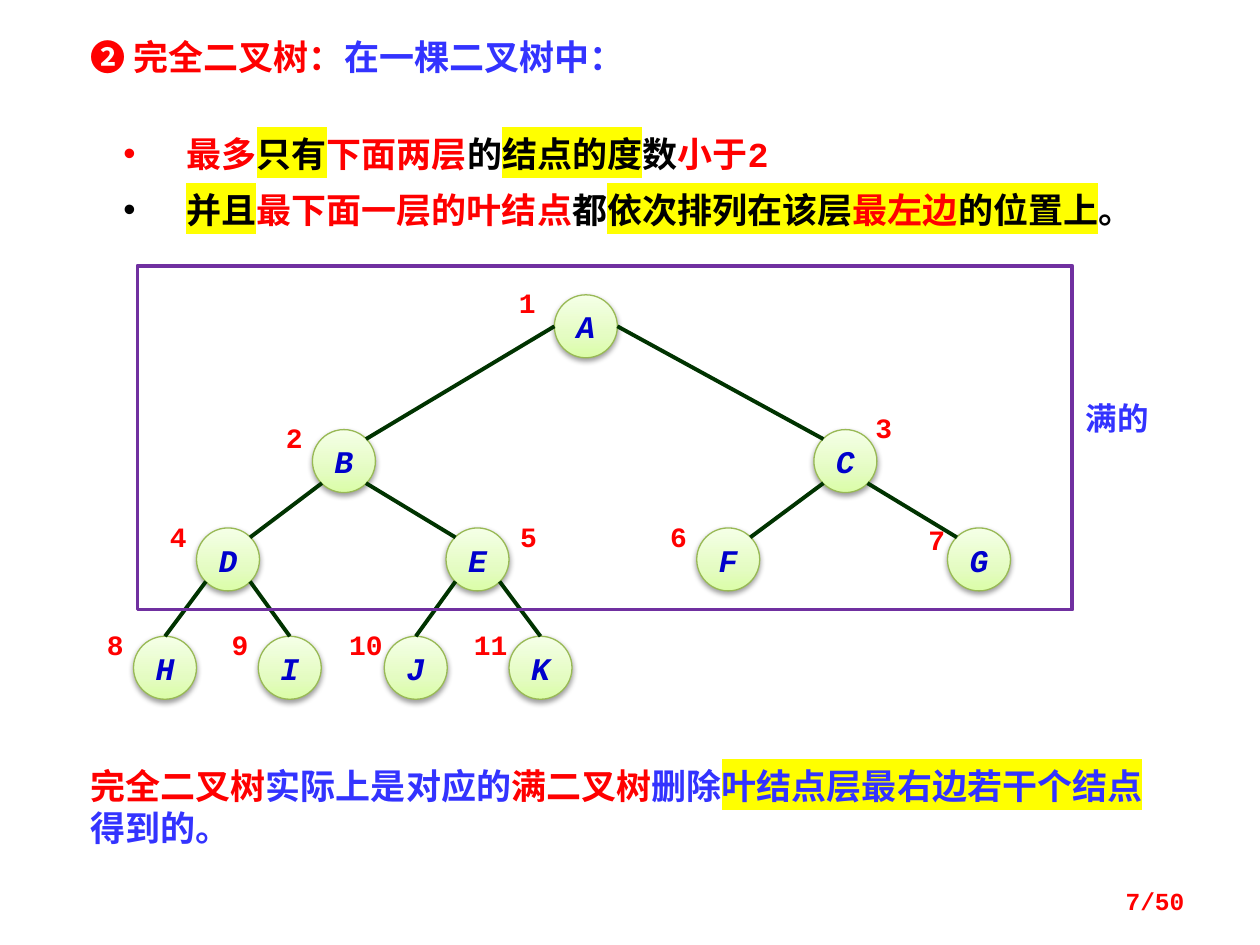
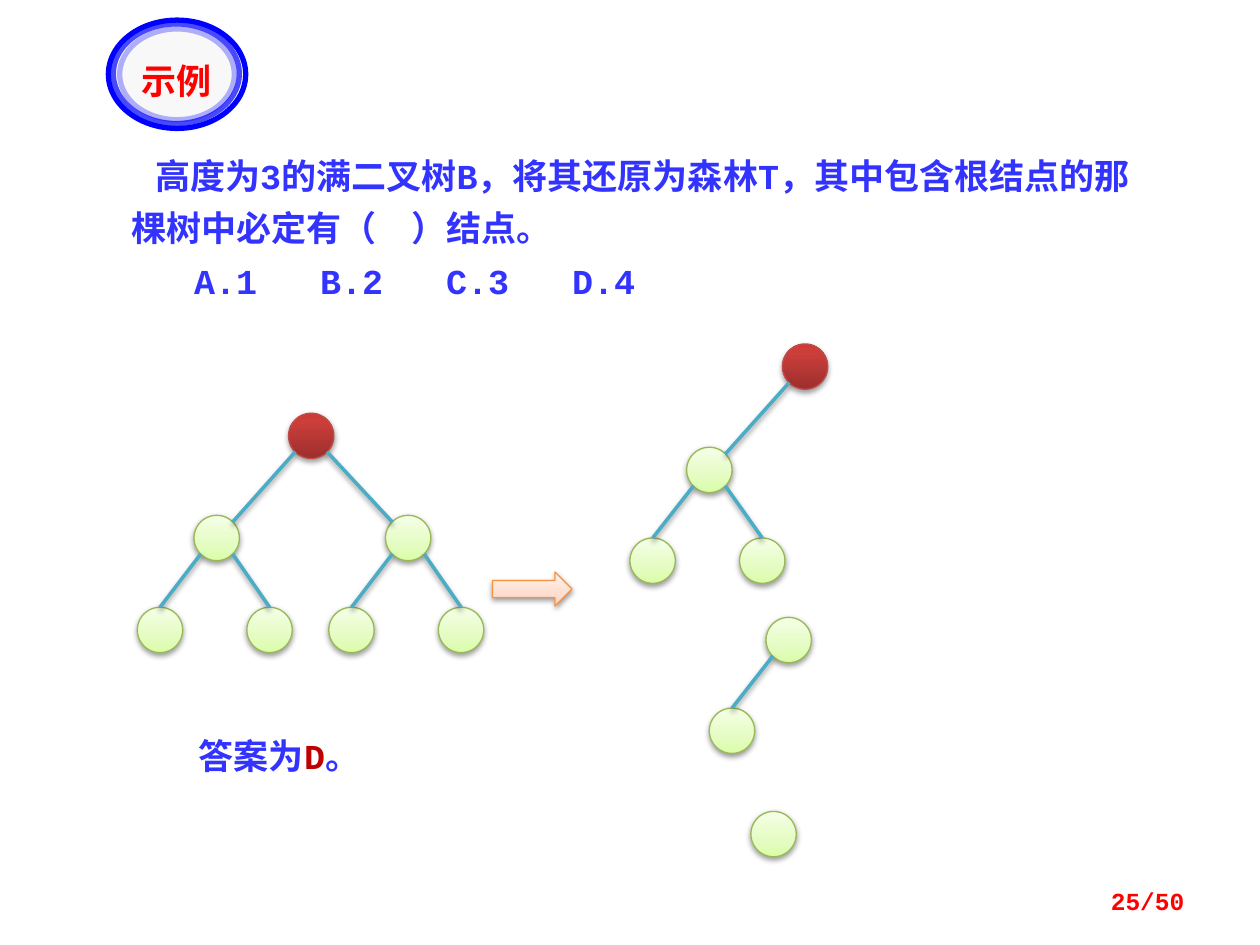
from dataclasses import dataclass
from math import copysign
from pptx import Presentation
from pptx.dml.color import RGBColor
from pptx.enum.shapes import MSO_CONNECTOR, MSO_SHAPE
from pptx.enum.text import MSO_ANCHOR, MSO_AUTO_SIZE, PP_ALIGN
from pptx.oxml import parse_xml
from pptx.oxml.ns import nsdecls
from pptx.oxml.xmlchemy import OxmlElement
from pptx.util import Inches, Pt


@dataclass(frozen=True)
class Theme:
    mono: str = "Courier New"
    han: str = "Noto Sans CJK SC"
    red: str = "FF0000"
    blue: str = "3333FF"
    black: str = "000000"
    navy: str = "0000CC"
    crimson: str = "C00000"
    violet: str = "7030A0"
    forest: str = "003300"
    teal: str = "4BACC6"
    ring: str = "0000FF"
    pale: str = "F8F8F8"
    mark: str = "FFFF00"
    head: int = 20
    node: int = 18
    tag: int = 16
    foot: int = 14
    green: tuple = ("98B955", ((0, "DAFDA7"), (35, "E4FCC2"), (100, "F5FFE7")))
    ruby: tuple = ("BF4C48", ((0, "9C2F2D"), (80, "CB3E3A"), (100, "CE3B37")))
    peach: tuple = ("F69240", ((0, "FFD2BD"), (35, "FFDED0"), (100, "FFF2ED")))


T = Theme()
deck = Presentation()
deck.slide_width, deck.slide_height = Inches(10), Inches(7.5)
CELL = deck.slide_width // 100


def at(*cells):
    return [round(CELL * cell) for cell in cells]


def write(frame, lines, size, face=T.mono, align=PP_ALIGN.LEFT, anchor=MSO_ANCHOR.TOP):
    frame.word_wrap = True
    frame.auto_size = MSO_AUTO_SIZE.NONE
    frame.vertical_anchor = anchor
    for row, line in enumerate(lines):
        para = frame.add_paragraph() if row else frame.paragraphs[0]
        para.alignment = align
        para.space_before = Pt(0)
        for text, ink, *mark in line:
            run = para.add_run()
            run.text = text
            font = run.font
            font.size, font.bold = Pt(size), True
            font.color.rgb = RGBColor.from_string(ink)
            props = run._r.get_or_add_rPr()
            if mark:
                props.append(parse_xml(
                    f'<a:highlight {nsdecls("a")}><a:srgbClr val="{mark[0]}"/></a:highlight>'))
            font.name = face
            east = OxmlElement("a:ea")
            east.set("typeface", T.han)
            props.append(east)


one, two = [deck.slides.add_slide(deck.slide_layouts[1]) for _ in range(2)]

heads = [
    (one, (6.2, 2.3, 63.3, 4.4), PP_ALIGN.LEFT,
     [("❷ 完全二叉树：", T.red), ("在一棵二叉树中：", T.blue)]),
    (two, (9.2, 4.2, 9.6, 3.9), PP_ALIGN.CENTER, [("示例", T.red)]),
]
for slide, place, align, line in heads:
    title = slide.shapes.title
    title.left, title.top, title.width, title.height = at(*place)
    write(title.text_frame, [line], T.head, align=align)

lists = [
    (one, (7.8, 8.6, 85.9, 10.1), 32, [
        [("最多", T.red), ("只有", T.black, T.mark), ("下面两层", T.red), ("的", T.black),
         ("结点的度", T.black, T.mark), ("数", T.black), ("小于2", T.red)],
        [("并且", T.black, T.mark), ("最下面一层的叶结点", T.red), ("都", T.black),
         ("依次排列在该层", T.black, T.mark), ("最左边", T.red, T.mark),
         ("的位置上", T.black, T.mark), ("。", T.black)]]),
    (two, (9.4, 10.9, 82.8, 13.6), 30, [
        [("高度为3的满二叉树B，将其还原为森林T，其中包含根结点的那棵树中必定有（　）结点。", T.blue)],
        [("A.1\tB.2\tC.3\tD.4", T.blue)]]),
]
for slide, place, pitch, lines in lists:
    body = slide.placeholders[1]
    body.left, body.top, body.width, body.height = at(*place)
    write(body.text_frame, lines, T.head)
    for para in body.text_frame.paragraphs:
        para.line_spacing = Pt(pitch)

frame = one.placeholders[1].text_frame
frame.margin_left, frame.margin_top, frame.margin_bottom = at(2, 0.8, 0.8)
for para in frame.paragraphs:
    props = para._p.get_or_add_pPr()
    props.set("marL", str(Inches(0.5)))
    props.set("indent", str(-Inches(0.5)))

quiz = two.placeholders[1].text_frame.paragraphs
for para, inset in zip(quiz, at(1.9, 5)):
    props = para._p.get_or_add_pPr()
    props.set("marL", "0")
    props.set("indent", str(inset))
    props.append(OxmlElement("a:buNone"))
tabs = OxmlElement("a:tabLst")
for stop in at(30, 50, 70):
    tab = OxmlElement("a:tab")
    tab.set("pos", str(stop))
    tab.set("algn", "l")
    tabs.append(tab)
quiz[1]._p.get_or_add_pPr().append(tabs)

full = {"A": (44, 23.4), "B": (24.8, 34.1), "C": (64.6, 34.1),
        "D": (15.6, 41.9), "E": (35.4, 41.9), "F": (55.3, 41.9), "G": (75.2, 41.9),
        "H": (10.6, 50.5), "I": (20.5, 50.5), "J": (30.5, 50.5), "K": (40.4, 50.5)}
whole = {"A": (22.9, 32.8), "B": (15.4, 40.9), "C": (30.6, 40.9),
         "D": (10.9, 48.2), "E": (19.6, 48.2), "F": (26.1, 48.2), "G": (34.8, 48.2)}
wood = {"A": (62.1, 27.3), "B": (54.5, 35.5), "D": (50, 42.7), "E": (58.7, 42.7),
        "C": (60.8, 49), "F": (56.3, 56.2), "G": (59.6, 64.4)}
trees = [
    (one, full, "AB AC BD BE CF CG DH DI EJ EK", 5, T.forest, 2.25),
    (two, whole, "AB AC BD BE CF CG", 3.6, T.teal, 2),
    (two, wood, "AB BD BE CF", 3.6, T.teal, 2),
]
glows = []
for slide, balls, links, size, ink, weight in trees:
    for name, (x, y) in balls.items():
        ball = slide.shapes.add_shape(MSO_SHAPE.OVAL, *at(x, y, size, size))
        glows.append((ball, T.ruby if slide is two and name == "A" else T.green))
    for up, down in links.split():
        (x, y), (cx, cy) = balls[up], balls[down]
        side = copysign(1, cx - x)
        gap = abs(cx - x) / size
        leave = (0.5 + side * 0.5, 0.5) if gap > 3 else (0.5 + side * 0.35, 0.85)
        reach = (0.5, 0) if gap < 1.5 else (0.5 - side * 0.35, 0.15)
        edge = slide.shapes.add_connector(MSO_CONNECTOR.STRAIGHT, *at(
            x + leave[0] * size, y + leave[1] * size,
            cx + reach[0] * size, cy + reach[1] * size))
        edge.line.color.rgb = RGBColor.from_string(ink)
        edge.line.width = Pt(weight)
        if slide is two:
            glows.append((edge, None))
        else:
            edge.element.spPr.append(OxmlElement("a:effectLst"))

shifts = {"A": (-4.3, -0.7), "C": (3.4, -1.5), "E": (4.4, -0.7), "G": (-3, -0.4)}
for rank, ((ball, _), (name, (x, y))) in enumerate(zip(glows, full.items()), 1):
    write(ball.text_frame, [[(name, T.navy)]], T.node,
          align=PP_ALIGN.CENTER, anchor=MSO_ANCHOR.MIDDLE)
    ball.text_frame.paragraphs[0].runs[0].font.italic = True
    dx, dy = shifts.get(name, (-3.6, -0.7))
    tag = one.shapes.add_textbox(*at(x + dx, y + dy, 4.3, 2.7)).text_frame
    tag.margin_left = tag.margin_right = tag.margin_top = tag.margin_bottom = 0
    write(tag, [[(str(rank), T.red)]], T.tag, align=PP_ALIGN.CENTER)

arrow = two.shapes.add_shape(MSO_SHAPE.RIGHT_ARROW, *at(39.1, 45.4, 6.3, 2.7))
glows.append((arrow, T.peach))
for shape, paint in glows:
    props = shape.element.spPr
    if paint:
        stops = "".join(f'<a:gs pos="{pos * 1000}"><a:srgbClr val="{ink}"/></a:gs>'
                        for pos, ink in paint[1])
        props.append(parse_xml(f'<a:gradFill {nsdecls("a")}><a:gsLst>{stops}</a:gsLst>'
                               '<a:lin ang="16200000" scaled="0"/></a:gradFill>'))
        shape.line.color.rgb = RGBColor.from_string(paint[0])
        shape.line.width = Pt(0.75)
    props.append(parse_xml(
        f'<a:effectLst {nsdecls("a")}><a:outerShdw blurRad="40000" dist="20000" dir="5400000" '
        'rotWithShape="0"><a:srgbClr val="000000"><a:alpha val="38000"/></a:srgbClr>'
        '</a:outerShdw></a:effectLst>'))

plates = [
    (one, MSO_SHAPE.RECTANGLE, (10.9, 21.1, 74.2, 27.3), None, T.violet, 2, 100),
    (two, MSO_SHAPE.OVAL, (8.6, 1.6, 10.9, 8.6), T.pale, T.ring, 3, 100),
    (two, MSO_SHAPE.OVAL, (9, 1.9, 10, 7.9), None, T.ring, 3, 70),
    (two, MSO_SHAPE.OVAL, (9.5, 2.3, 9.1, 7.2), None, T.ring, 3, 30),
]
for slide, kind, place, fill, ink, weight, alpha in plates:
    plate = slide.shapes.add_shape(kind, *at(*place))
    plate.shadow.inherit = False
    if fill:
        plate.fill.solid()
        plate.fill.fore_color.rgb = RGBColor.from_string(fill)
    else:
        plate.fill.background()
    plate.line.color.rgb = RGBColor.from_string(ink)
    plate.line.width = Pt(weight)
    if alpha < 100:
        veil = OxmlElement("a:alpha")
        veil.set("val", str(alpha * 1000))
        plate.line._ln.find(".//{*}srgbClr").append(veil)
badge = two.shapes.title.element
badge.getparent().append(badge)

notes = [
    (one, (6.2, 60.2, 86.7, 7.7), T.head, T.han,
     [("完全二叉树", T.red), ("实际上是对应的", T.blue), ("满二叉树", T.red),
      ("删除", T.blue), ("叶结点层最右边若干个结点", T.blue, T.mark), ("得到的。", T.blue)]),
    (one, (85.2, 31.2, 8.6, 4), T.node, T.mono, [("满的", T.blue)]),
    (two, (14.8, 57.8, 18, 4.4), T.head, T.mono,
     [("答案为", T.blue), ("D", T.crimson), ("。", T.blue)]),
]
for slide, place, size, face, line in notes:
    write(slide.shapes.add_textbox(*at(*place)).text_frame, [line], size, face)

for slide, page in ((one, 7), (two, 25)):
    foot = slide.shapes.add_textbox(*at(71.7, 69.5, 23.3, 4))
    write(foot.text_frame, [[(f"{page}/50", T.red)]], T.foot,
          align=PP_ALIGN.RIGHT, anchor=MSO_ANCHOR.MIDDLE)

deck.save("out.pptx")
